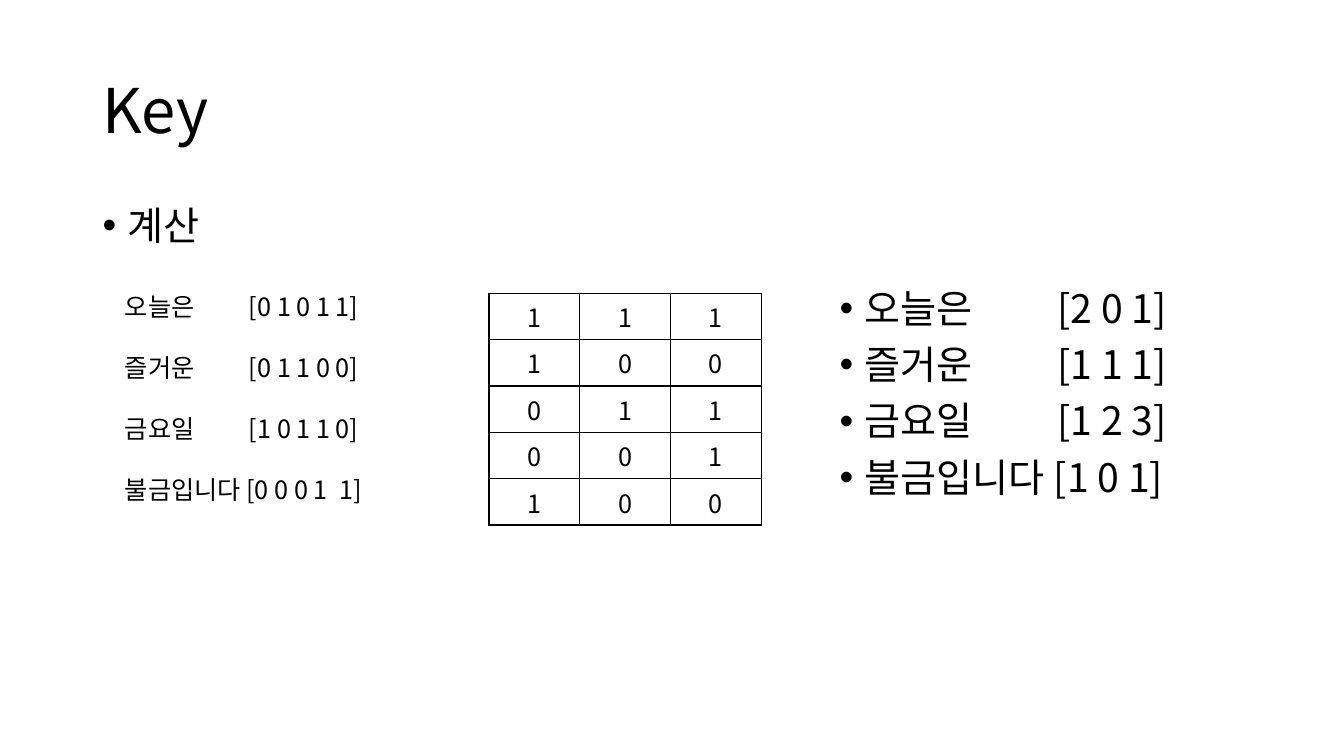
from dataclasses import dataclass

from lxml import etree
from pptx import Presentation
from pptx import util as u
from pptx.dml.color import RGBColor
from pptx.enum import text
from pptx.oxml import ns


@dataclass(frozen=True)
class Theme:
    font: str = "Noto Sans CJK KR"
    ink: str = "000000"
    title_size: int = 44
    body_size: int = 28
    small_size: int = 18
    border_width: float = 1


@dataclass(frozen=True)
class TextBlock:
    left: float
    top: float
    width: float
    height: float
    lines: tuple[str, ...]
    size: int
    bullet: bool = False
    line_spacing: float = 1.0
    space_before: float = 0
    space_after: float = 0
    tab: float = 0
    anchor: text.MSO_ANCHOR = text.MSO_ANCHOR.TOP


THEME = Theme()

# Slide content
TEXT_BLOCKS = (
    TextBlock(0.92, 0.4, 11.5, 1.45, ("Key",), THEME.title_size,
              line_spacing=0.9, anchor=text.MSO_ANCHOR.MIDDLE),
    TextBlock(0.92, 2, 11.5, 4.76, ("계산",), THEME.body_size,
              bullet=True, line_spacing=0.9, space_before=10),
    TextBlock(1.14, 2.84, 4.65, 2.83,
              ("오늘은\t[0 1 0 1 1]", "즐거운\t[0 1 1 0 0]",
               "금요일\t[1 0 1 1 0]", "불금입니다 [0 0 0 1  1]"),
              THEME.small_size, space_after=22, tab=1.23),
    TextBlock(8.23, 2.82, 6.08, 2.37,
              ("오늘은\t[2 0 1]", "즐거운\t[1 1 1]",
               "금요일\t[1 2 3]", "불금입니다 [1 0 1]"),
              THEME.body_size, bullet=True, line_spacing=0.9,
              space_before=10, tab=2.16),
)
KEY_MATRIX = ((1, 1, 1), (1, 0, 0), (0, 1, 1), (0, 0, 1), (1, 0, 0))


def add_child(parent, tag: str, **attributes: str):
    return etree.SubElement(parent, ns.qn(tag), attributes)


def style_paragraph(paragraph, size: int) -> None:
    font = paragraph.font
    font.name, font.size = THEME.font, u.Pt(size)
    font.color.rgb = RGBColor.from_string(THEME.ink)
    # East Asian typeface for the Korean letters
    defaults = paragraph._p.pPr.find(ns.qn("a:defRPr"))
    add_child(defaults, "a:ea", typeface=THEME.font)


def add_bullet_and_tab(paragraph, block: TextBlock) -> None:
    properties = paragraph._p.get_or_add_pPr()
    if block.bullet:
        properties.set("marL", str(u.Inches(0.25)))
        properties.set("indent", str(u.Inches(-0.25)))
        add_child(properties, "a:buFont", typeface="Arial")
        add_child(properties, "a:buChar", char="•")
    if block.tab:
        tabs = add_child(properties, "a:tabLst")
        add_child(tabs, "a:tab", pos=str(u.Inches(block.tab)), algn="l")


def add_text_block(slide, block: TextBlock) -> None:
    shape = slide.shapes.add_textbox(u.Inches(block.left), u.Inches(block.top),
                                     u.Inches(block.width), u.Inches(block.height))
    frame = shape.text_frame
    frame.word_wrap = True
    frame.vertical_anchor = block.anchor
    for index, line in enumerate(block.lines):
        paragraph = frame.add_paragraph() if index else frame.paragraphs[0]
        paragraph.text = line
        paragraph.line_spacing = block.line_spacing
        paragraph.space_before = u.Pt(block.space_before)
        paragraph.space_after = u.Pt(block.space_after)
        add_bullet_and_tab(paragraph, block)
        style_paragraph(paragraph, block.size)


def add_borders(cell) -> None:
    properties = cell._tc.get_or_add_tcPr()
    for side in ("a:lnL", "a:lnR", "a:lnT", "a:lnB"):
        line = add_child(properties, side, w=str(u.Pt(THEME.border_width)))
        add_child(add_child(line, "a:solidFill"), "a:srgbClr", val=THEME.ink)


def add_matrix(slide, matrix: tuple[tuple[int, ...], ...]) -> None:
    frame = slide.shapes.add_table(len(matrix), len(matrix[0]), u.Inches(4.85),
                                   u.Inches(2.91), u.Inches(2.7), u.Inches(2.31))
    table = frame.table
    table.first_row = table.horz_banding = False
    for row in table.rows:
        row.height = u.Inches(0.46)
    for row_index, values in enumerate(matrix):
        for column_index, value in enumerate(values):
            cell = table.cell(row_index, column_index)
            cell.text = str(value)
            paragraph = cell.text_frame.paragraphs[0]
            paragraph.alignment = text.PP_ALIGN.CENTER
            style_paragraph(paragraph, THEME.small_size)
            add_borders(cell)
            cell.fill.background()


def main() -> None:
    presentation = Presentation()
    presentation.slide_width = u.Inches(13.33)
    presentation.slide_height = u.Inches(7.5)
    slide = presentation.slides.add_slide(presentation.slide_layouts[6])
    for block in TEXT_BLOCKS:
        add_text_block(slide, block)
    add_matrix(slide, KEY_MATRIX)
    presentation.save("out.pptx")


if __name__ == "__main__":
    main()
